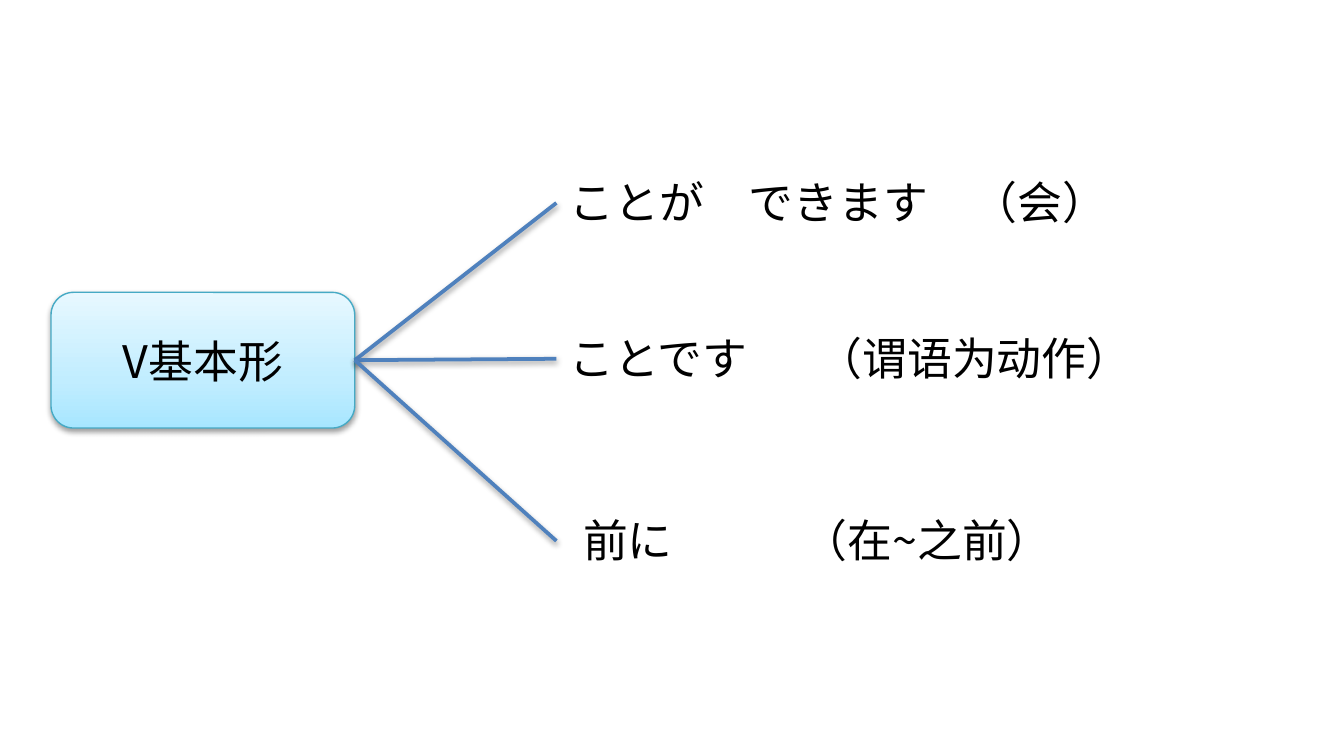
from copy import deepcopy
from dataclasses import dataclass

from lxml.etree import SubElement
from pptx import Presentation
from pptx.dml.color import RGBColor as RGB
from pptx.enum.shapes import MSO_CONNECTOR as CONNECTOR, MSO_SHAPE as SHAPE
from pptx.enum.text import MSO_ANCHOR as ANCHOR, MSO_AUTO_SIZE as AUTO_SIZE, PP_ALIGN as ALIGN
from pptx.oxml.ns import qn
from pptx.util import Pt

PX = 4572  # 200 px to the inch


@dataclass(frozen=True)
class Theme:
    font: str = "Noto Sans CJK SC"
    size: int = 24
    ink: str = "000000"
    branch: str = "4F81BD"
    branch_width: float = 2
    border: str = "46AAC5"
    border_width: float = 0.75
    gradient: tuple = ((0, "A7E6FF"), (0.35, "C1EDFF"), (1, "E7F8FF"))


THEME = Theme()

# ending, gloss, tab stop of the gloss, then left, top and width within the tree
ENDINGS = [
    ("ことが　できます　（会）", None, None, 752, 0, 924),
    ("ことです", "（谓语为动作）", 369, 752, 232, 924),
    ("前に", "（在~之前）", 327, 772, 503, 1030),
]
ENDING_HEIGHT = 101
VERB_FORM = (0, 185, 452, 202)
BRANCH_END = 752


def px(*lengths):
    return [length * PX for length in lengths]


def set_format(target, values):
    for name, value in values.items():
        setattr(target, name, value)


def write(paragraph, text):
    run = paragraph.add_run()
    run.text = text
    set_format(run.font, {"name": THEME.font, "size": Pt(THEME.size)})
    run.font.color.rgb = RGB.from_string(THEME.ink)
    SubElement(run.font._element, qn("a:ea"), typeface=THEME.font)


def set_line(line, color, width):
    line.color.rgb = RGB.from_string(color)
    line.width = Pt(width)


def add_soft_shadow(properties):
    effects = SubElement(properties, qn("a:effectLst"))
    shadow = SubElement(effects, qn("a:outerShdw"), blurRad="40000", dist="20000",
                        dir="5400000", rotWithShape="0")
    black = SubElement(shadow, qn("a:srgbClr"), val="000000")
    SubElement(black, qn("a:alpha"), val="38000")


def fill_gradient(fill, properties):
    fill.gradient()
    fill.gradient_angle = 90
    stop_list = properties.find(qn("a:gradFill")).find(qn("a:gsLst"))
    stop_list.append(deepcopy(stop_list[0]))
    for stop, (position, color) in zip(fill.gradient_stops, THEME.gradient):
        stop.position = position
        stop.color.rgb = RGB.from_string(color)


def add_verb_form(slide, box, text):
    verb_form = slide.shapes.add_shape(SHAPE.ROUNDED_RECTANGLE, *px(*box))
    properties = verb_form._element.spPr
    fill_gradient(verb_form.fill, properties)
    set_line(verb_form.line, THEME.border, THEME.border_width)
    add_soft_shadow(properties)
    verb_form.text_frame.vertical_anchor = ANCHOR.MIDDLE
    paragraph = verb_form.text_frame.paragraphs[0]
    paragraph.alignment = ALIGN.CENTER
    write(paragraph, text)


def add_ending(slide, box, ending, gloss, gloss_tab):
    frame = slide.shapes.add_textbox(*px(*box)).text_frame
    set_format(frame, {"word_wrap": True, "auto_size": AUTO_SIZE.SHAPE_TO_FIT_TEXT})
    paragraph = frame.paragraphs[0]
    if gloss:
        tabs = SubElement(paragraph._p.get_or_add_pPr(), qn("a:tabLst"))
        SubElement(tabs, qn("a:tab"), pos=str(gloss_tab * PX), algn="l")
        ending = f"{ending}\t{gloss}"
    write(paragraph, ending)


def add_branch(slide, start, end):
    branch = slide.shapes.add_connector(CONNECTOR.STRAIGHT, *px(*start, *end))
    set_line(branch.line, THEME.branch, THEME.branch_width)
    add_soft_shadow(branch._element.spPr)


def add_verb_tree(slide, left, top):
    """Place the verb form, its endings and the branches between them."""
    x, y, width, height = VERB_FORM
    add_verb_form(slide, (left + x, top + y, width, height), "V基本形")
    for ending, gloss, gloss_tab, ending_x, ending_y, ending_width in ENDINGS:
        box = (left + ending_x, top + ending_y, ending_width, ENDING_HEIGHT)
        add_ending(slide, box, ending, gloss, gloss_tab)
    root = (left + x + width, top + y + height // 2)
    for *_, ending_y, _width in ENDINGS:
        middle = top + ending_y + ENDING_HEIGHT // 2 + 2
        add_branch(slide, root, (left + BRANCH_END, middle))


def main():
    deck = Presentation()
    set_format(deck, {"slide_width": 2000 * PX, "slide_height": 1125 * PX})
    slide = deck.slides.add_slide(deck.slide_layouts[6])
    add_verb_tree(slide, 76, 250)
    deck.save("out.pptx")


if __name__ == "__main__":
    main()
